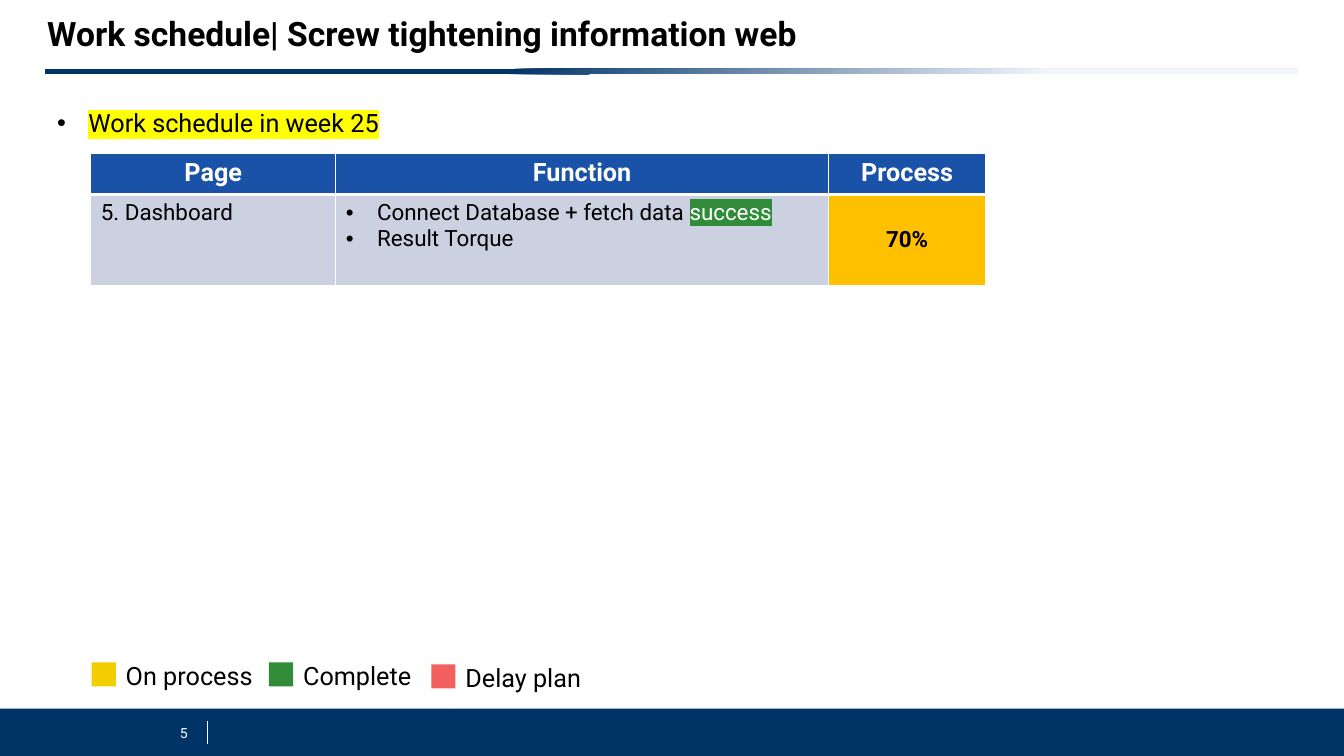
from lxml.etree import SubElement
from pptx import Presentation
from pptx.dml.color import RGBColor
from pptx.enum.shapes import MSO_CONNECTOR, MSO_SHAPE
from pptx.enum.text import MSO_ANCHOR, PP_ALIGN
from pptx.oxml import parse_xml
from pptx.oxml.ns import nsdecls, qn
from pptx.util import Cm, Pt

# Content: a paragraph is a list of (text, colour, highlight) runs
FONT = "Roboto"
COLORS = {
    "navy": "003366", "pale": "F1F6FD", "white": "FFFFFF", "black": "000000",
    "marker": "FFFF00", "header": "1952A6", "body": "CCD1E1", "amber": "FFC000",
    "yellow": "F2CE00", "green": "318C3A", "red": "F26060",
}
TITLE = "Work schedule| Screw tightening information web"
TOPIC = "Work schedule in week 25"
PAGE_NUMBER = "5"
HEADERS = ["Page", "Function", "Process"]
TASK_PAGE = "5. Dashboard"
TASK_FUNCTIONS = [
    [("Connect Database + fetch data ", "black", None), ("success", "white", "green")],
    [("Result Torque", "black", None)],
]
TASK_PROCESS = "70%"
COL_WIDTHS = [6.17, 12.42, 3.96]
ROW_HEIGHTS = [1.04, 2.29]
LEGEND = [  # label, colour, left, top
    ("On process", "yellow", 2.31, 16.69),
    ("Complete", "green", 6.78, 16.69),
    ("Delay plan", "red", 10.87, 16.74),
]
SWATCH = 0.61


def rgb(name):
    return RGBColor.from_string(COLORS[name])


def write(tf, paragraphs, size, bold=False, align=PP_ALIGN.LEFT, bullet=False):
    for i, runs in enumerate(paragraphs):
        p = tf.paragraphs[0] if i == 0 else tf.add_paragraph()
        p.alignment = align
        if bullet:
            pPr = p._p.get_or_add_pPr()
            pPr.set("marL", str(Cm(0.79)))
            pPr.set("indent", str(-Cm(0.79)))
            SubElement(pPr, qn("a:buFont")).set("typeface", "Arial")
            SubElement(pPr, qn("a:buChar")).set("char", "•")
        for text, color, highlight in runs:
            r = p.add_run()
            r.text = text
            r.font.size, r.font.bold, r.font.name = Pt(size), bold, FONT
            r.font.color.rgb = rgb(color)
            if highlight:
                r._r.rPr.find(qn("a:solidFill")).addnext(parse_xml(
                    f'<a:highlight {nsdecls("a")}>'
                    f'<a:srgbClr val="{COLORS[highlight]}"/></a:highlight>'))


def add_text(s, box, paragraphs, size, inset=True, **style):
    tf = s.shapes.add_textbox(*map(Cm, box)).text_frame
    tf.word_wrap = True
    if not inset:
        tf.margin_left = tf.margin_right = tf.margin_top = tf.margin_bottom = 0
        tf.vertical_anchor = MSO_ANCHOR.MIDDLE
    write(tf, paragraphs, size, **style)


def add_rect(s, box, color):
    sp = s.shapes.add_shape(MSO_SHAPE.RECTANGLE, *map(Cm, box))
    sp.shadow.inherit = False
    sp.fill.solid()
    sp.fill.fore_color.rgb = rgb(color)
    sp.line.fill.background()


def style_cell(cell, color, top, bottom):
    tcPr = cell._tc.get_or_add_tcPr()
    for side, width in (("L", 1), ("R", 1), ("T", top), ("B", bottom)):
        ln = SubElement(tcPr, qn(f"a:ln{side}"), w=str(Pt(width)))
        fill = SubElement(ln, qn("a:solidFill"))
        SubElement(fill, qn("a:srgbClr"), val=COLORS["white"])
    cell.fill.solid()
    cell.fill.fore_color.rgb = rgb(color)


prs = Presentation()
prs.slide_width, prs.slide_height = Cm(33.87), Cm(19.05)
s = prs.slides.add_slide(prs.slide_layouts[6])

# Gradient rule under the title
rule = s.shapes.build_freeform(Cm(1.14), Cm(1.73))
rule.add_line_segments([(Cm(x), Cm(y)) for x, y in
                        ((32.71, 1.73), (32.71, 1.86), (1.14, 1.87))])
sp = rule.convert_to_shape()
sp.shadow.inherit = False
sp.line.fill.background()
sp.fill.gradient()
sp.fill.gradient_angle = 315
for stop, position, color in zip(sp.fill.gradient_stops, (0.37, 0.8), ("navy", "pale")):
    stop.position = position
    stop.color.rgb = rgb(color)

# Footer with page number
add_rect(s, (0, 17.86, 33.87, 1.19), "navy")
divider = s.shapes.add_connector(MSO_CONNECTOR.STRAIGHT,
                                 Cm(5.23), Cm(18.16), Cm(5.23), Cm(18.75))
divider.line.color.rgb = rgb("white")
divider.line.width = Pt(0.25)
SubElement(divider._element.spPr, qn("a:effectLst"))
add_text(s, (3.94, 18.19, 0.79, 0.56), [[(PAGE_NUMBER, "white", None)]], 10,
         inset=False, align=PP_ALIGN.RIGHT)

# Title and topic
add_text(s, (1.19, 0.08, 31.47, 1.5), [[(TITLE, "black", None)]], 24,
         inset=False, bold=True)
add_text(s, (1.19, 2.59, 20.07, 1.02), [[(TOPIC, "black", "marker")]], 18, bullet=True)

# Schedule table
table = s.shapes.add_table(2, 3, Cm(2.29), Cm(3.86), Cm(sum(COL_WIDTHS)),
                           Cm(sum(ROW_HEIGHTS))).table
table.first_row = table.horz_banding = False
for col, width in zip(table.columns, COL_WIDTHS):
    col.width = Cm(width)
for row, height in zip(table.rows, ROW_HEIGHTS):
    row.height = Cm(height)
for cell, header in zip(table.rows[0].cells, HEADERS):
    style_cell(cell, "header", 1, 3)
    write(cell.text_frame, [[(header, "white", None)]], 18, bold=True,
          align=PP_ALIGN.CENTER)
page, function, process = table.rows[1].cells
for cell, color in ((page, "body"), (function, "body"), (process, "amber")):
    style_cell(cell, color, 3, 1)
write(page.text_frame, [[(TASK_PAGE, "black", None)]], 16)
write(function.text_frame, TASK_FUNCTIONS, 16, bullet=True)
write(process.text_frame, [[(TASK_PROCESS, "black", None)]], 16, bold=True,
      align=PP_ALIGN.CENTER)
process.vertical_anchor = MSO_ANCHOR.MIDDLE

# Legend
for label, color, x, y in LEGEND:
    add_rect(s, (x, y, SWATCH, SWATCH), color)
    add_text(s, (x + SWATCH, y - 0.18, 4.67, 1.02), [[(label, "black", None)]], 18)

prs.save("out.pptx")
